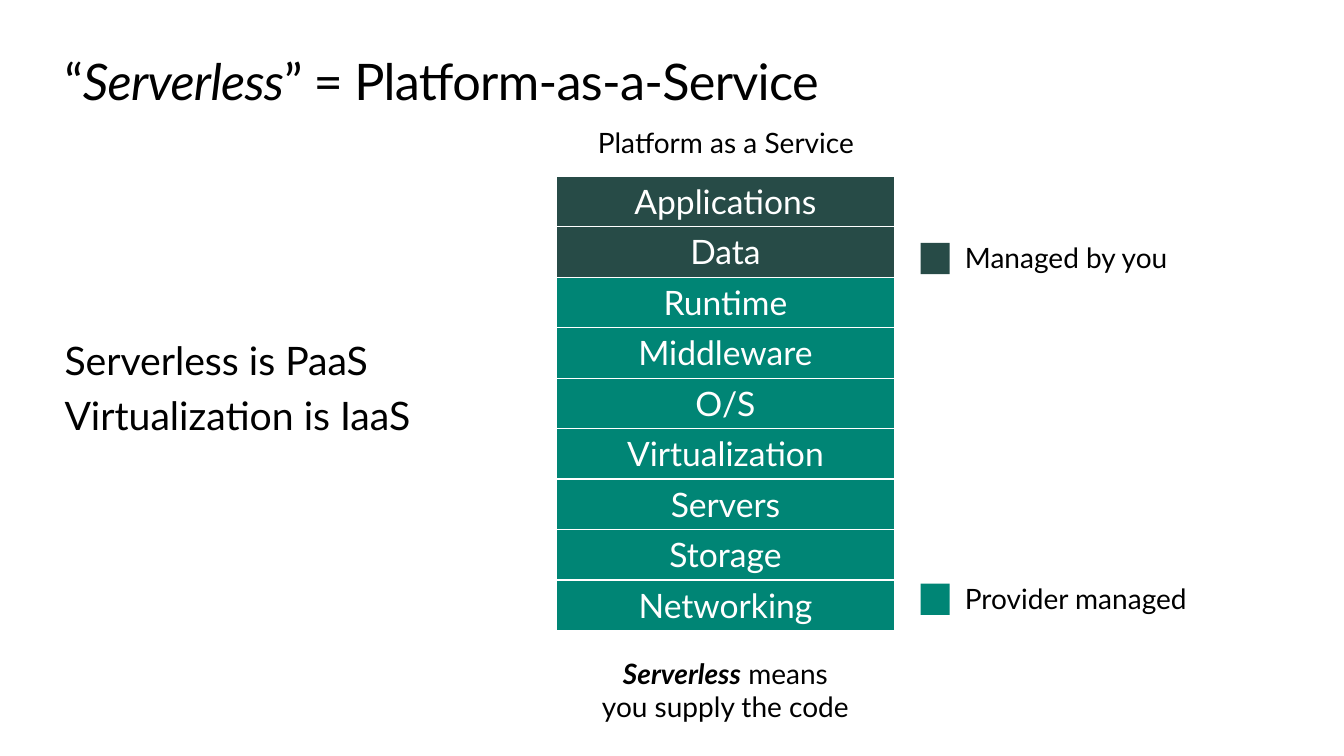
from dataclasses import dataclass

from lxml import etree
from pptx import Presentation
from pptx.dml.color import RGBColor
from pptx.enum import shapes, text
from pptx.oxml import ns
from pptx.util import Inches, Pt

BLACK = RGBColor(0x00, 0x00, 0x00)
WHITE = RGBColor(0xFF, 0xFF, 0xFF)
DARK = RGBColor(0x27, 0x4B, 0x47)
TEAL = RGBColor(0x00, 0x85, 0x75)
FONT = "Lato"
LEFT, MID = text.PP_ALIGN.LEFT, text.PP_ALIGN.CENTER


@dataclass
class Span:
    text: str
    bold: bool = False
    italic: bool = False


@dataclass
class Label:
    left: float
    top: float
    width: float
    height: float
    lines: list[list[Span]]
    size: int = 20
    align: text.PP_ALIGN = MID
    wrap: bool = False
    anchor: text.MSO_ANCHOR = text.MSO_ANCHOR.TOP
    gap: float = 0


@dataclass
class Key:
    top: float
    color: RGBColor
    text: str
    width: float


def style(font, size: int, color: RGBColor) -> None:
    font.name, font.size, font.color.rgb = FONT, Pt(size), color


def fill_text(shape, label: Label) -> None:
    """Place a text shape and write its lines."""
    shape.left, shape.top = Inches(label.left), Inches(label.top)
    shape.width, shape.height = Inches(label.width), Inches(label.height)
    frame = shape.text_frame
    frame.margin_left = frame.margin_right = 0
    frame.margin_top = frame.margin_bottom = 0
    frame.word_wrap = label.wrap
    frame.auto_size = text.MSO_AUTO_SIZE.NONE
    frame.vertical_anchor = label.anchor
    for i, line in enumerate(label.lines):
        para = frame.add_paragraph() if i else frame.paragraphs[0]
        para.alignment = label.align
        para.space_before = Pt(label.gap if i else 0)
        for span in line:
            run = para.add_run()
            run.text = span.text
            style(run.font, label.size, BLACK)
            run.font.bold, run.font.italic = span.bold, span.italic


def add_label(slide, label: Label) -> None:
    fill_text(slide.shapes.add_textbox(0, 0, 0, 0), label)


def add_border(cell) -> None:
    """Give a cell thin white edges; call before filling it."""
    props = cell._tc.get_or_add_tcPr()
    for side in ("lnL", "lnR", "lnT", "lnB"):
        line = etree.SubElement(props, ns.qn("a:" + side), w=str(Pt(1)))
        solid = etree.SubElement(line, ns.qn("a:solidFill"))
        etree.SubElement(solid, ns.qn("a:srgbClr"), val=str(WHITE))


def add_stack(slide, layers: list[str], own: int) -> None:
    """Draw the service layers; the first few are managed by the user."""
    row = 0.5
    table = slide.shapes.add_table(
        len(layers), 1, Inches(5.52), Inches(1.75),
        Inches(3.35), Inches(row * len(layers))).table
    table.first_row = table.horz_banding = False
    for i, name in enumerate(layers):
        cell = table.cell(i, 0)
        add_border(cell)
        cell.fill.solid()
        cell.fill.fore_color.rgb = DARK if i < own else TEAL
        cell.text_frame.text = name
        para = cell.text_frame.paragraphs[0]
        para.alignment = MID
        style(para.runs[0].font, 24, WHITE)


def add_key(slide, key: Key) -> None:
    box = slide.shapes.add_shape(
        shapes.MSO_SHAPE.RECTANGLE, Inches(9.13), Inches(key.top),
        Inches(0.29), Inches(0.31))
    box.shadow.inherit = False
    box.fill.solid()
    box.fill.fore_color.rgb = key.color
    box.line.fill.background()
    add_label(slide, Label(9.57, key.top - 0.02, key.width, 0.34,
                           [[Span(key.text)]], align=LEFT))


def main() -> None:
    deck = Presentation()
    deck.slide_width, deck.slide_height = Inches(13.33), Inches(7.5)
    slide = deck.slides.add_slide(deck.slide_layouts[5])

    # Title
    title = slide.shapes.title
    fill_text(title, Label(
        0.64, 0.5, 12.05, 0.61,
        [[Span("“"), Span("Serverless", italic=True),
          Span("” = Platform-as-a-Service")]],
        size=36, align=LEFT, wrap=True))
    for run in title.text_frame.paragraphs[0].runs:
        run.font._element.set("spc", "-50")

    # Statements on the left
    add_label(slide, Label(
        0.64, 1.57, 5.7, 4.54,
        [[Span("Serverless is PaaS")], [Span("Virtualization is IaaS")]],
        size=28, align=LEFT, wrap=True,
        anchor=text.MSO_ANCHOR.MIDDLE, gap=5.6))

    # Layer stack with its captions
    add_stack(slide, ["Applications", "Data", "Runtime", "Middleware", "O/S",
                      "Virtualization", "Servers", "Storage", "Networking"], 2)
    add_label(slide, Label(5.91, 1.25, 2.58, 0.34,
                           [[Span("Platform as a Service")]]))
    add_label(slide, Label(
        5.94, 6.51, 2.51, 0.67,
        [[Span("Serverless", bold=True, italic=True), Span(" means")],
         [Span("you supply the code")]]))

    # Colour keys
    for key in (Key(2.41, DARK, "Managed by you", 2.08),
                Key(5.79, TEAL, "Provider managed", 2.42)):
        add_key(slide, key)

    deck.save("out.pptx")


if __name__ == "__main__":
    main()
